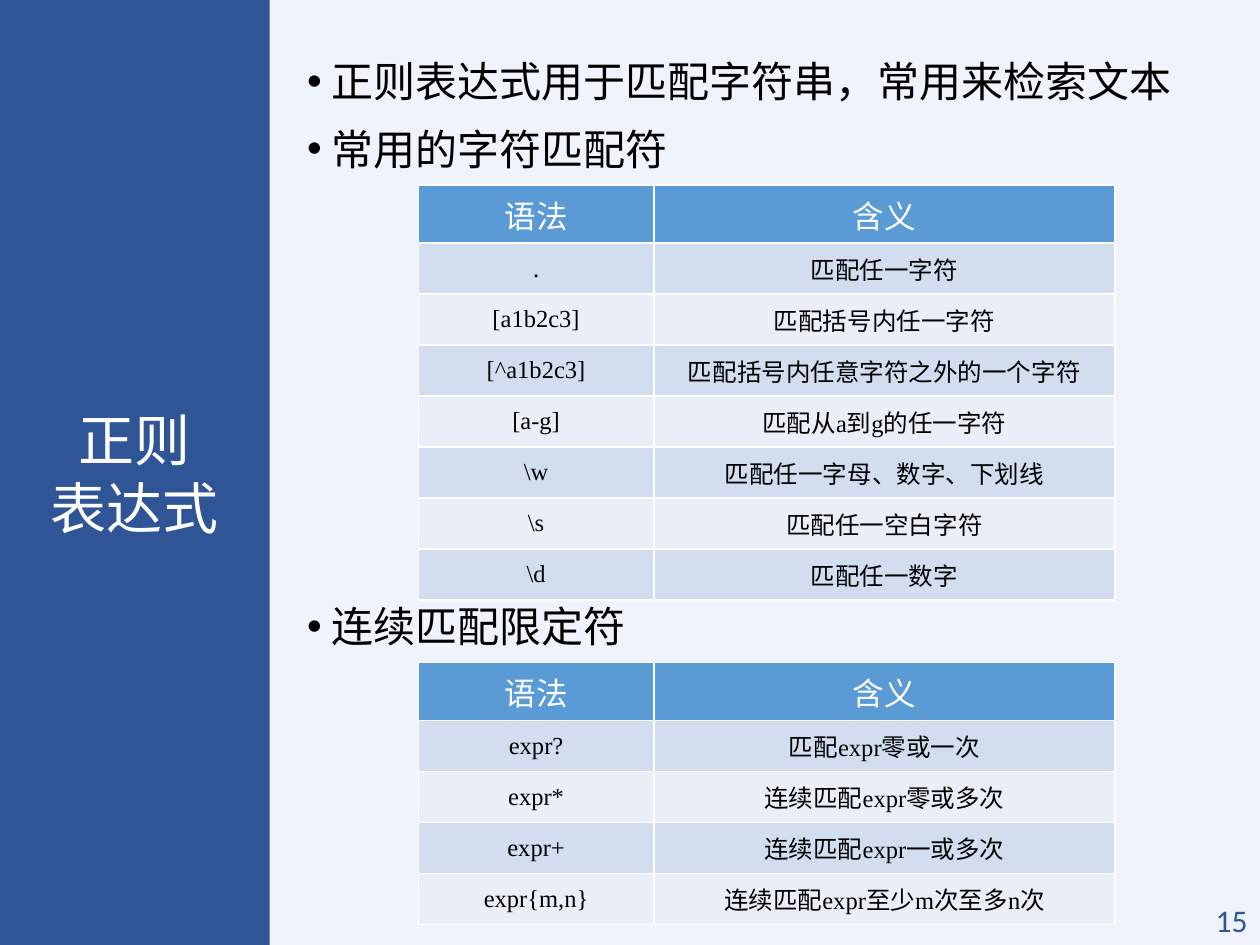
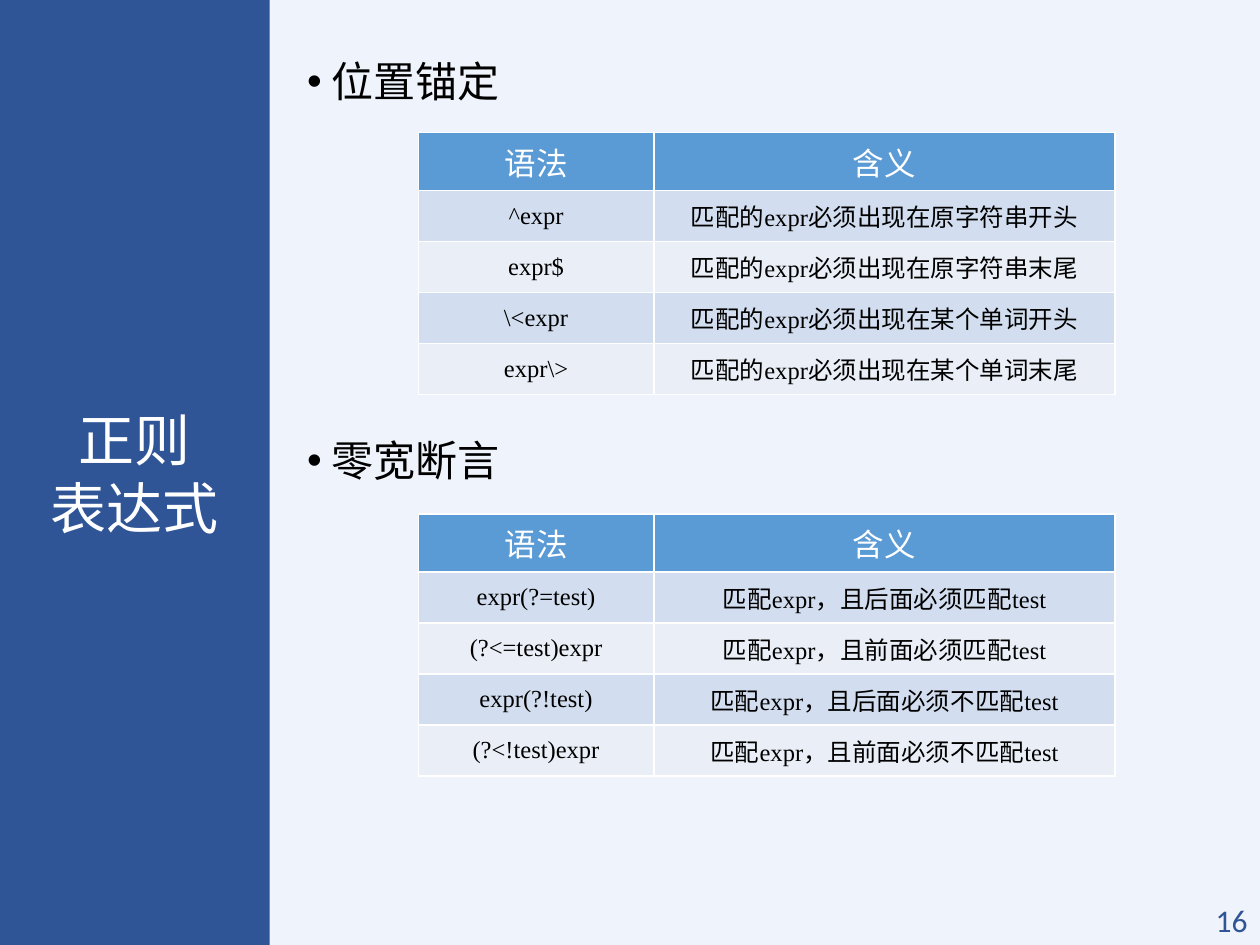
from lxml import etree
from pptx import Presentation
from pptx.dml.color import RGBColor
from pptx.enum.shapes import MSO_SHAPE
from pptx.enum.text import MSO_ANCHOR, PP_ALIGN
from pptx.oxml.ns import qn
from pptx.util import Inches, Pt

TITLE = ["正则", "表达式"]
HEADER = ("语法", "含义")
SLIDES = [
    {
        "number": 15,
        "bullets": [
            ("正则表达式用于匹配字符串，常用来检索文本", 0),
            ("常用的字符匹配符", 0),
            ("连续匹配限定符", 234),
        ],
        "tables": [
            (1.47, [
                (".", "匹配任一字符"),
                ("[a1b2c3]", "匹配括号内任一字符"),
                ("[^a1b2c3]", "匹配括号内任意字符之外的一个字符"),
                ("[a-g]", "匹配从a到g的任一字符"),
                ("\\w", "匹配任一字母、数字、下划线"),
                ("\\s", "匹配任一空白字符"),
                ("\\d", "匹配任一数字"),
            ]),
            (5.26, [
                ("expr?", "匹配expr零或一次"),
                ("expr*", "连续匹配expr零或多次"),
                ("expr+", "连续匹配expr一或多次"),
                ("expr{m,n}", "连续匹配expr至少m次至多n次"),
            ]),
        ],
    },
    {
        "number": 16,
        "bullets": [("位置锚定", 0), ("零宽断言", 178)],
        "tables": [
            (1.05, [
                ("^expr", "匹配的expr必须出现在原字符串开头"),
                ("expr$", "匹配的expr必须出现在原字符串末尾"),
                ("\\<expr", "匹配的expr必须出现在某个单词开头"),
                ("expr\\>", "匹配的expr必须出现在某个单词末尾"),
            ]),
            (4.08, [
                ("expr(?=test)", "匹配expr，且后面必须匹配test"),
                ("(?<=test)expr", "匹配expr，且前面必须匹配test"),
                ("expr(?!test)", "匹配expr，且后面必须不匹配test"),
                ("(?<!test)expr", "匹配expr，且前面必须不匹配test"),
            ]),
        ],
    },
]

COLORS = {
    "background": "EFF3FB",
    "band": "2F5597",
    "header": "5B9BD5",
    "odd_row": "D2DEEF",
    "even_row": "EAEFF7",
    "white": "FFFFFF",
    "black": "000000",
}
WIDTH, HEIGHT = 10, 7.5
BAND_WIDTH = 2.14
TITLE_BOX = (0.05, 1.1, 2.04, 5.31)
BULLET_BOX = (2.34, 0.39, 7.47, 6.62)
NUMBER_BOX = (WIDTH - 1, HEIGHT - 0.4, 1, 0.4)
TABLE_LEFT = 3.32
COLUMN_WIDTHS = (1.87, 3.66)
HEADER_HEIGHT = 0.46
HEADER_BOTTOM_MARGIN = 0.11
ROW_HEIGHT = HEIGHT * 0.054
BULLET_INDENT = 0.19

SERIF, SANS = "Times New Roman", "Calibri"
CENTER, RIGHT, JUSTIFY = PP_ALIGN.CENTER, PP_ALIGN.RIGHT, PP_ALIGN.JUSTIFY
MIDDLE, TOP = MSO_ANCHOR.MIDDLE, MSO_ANCHOR.TOP
RECTANGLE = MSO_SHAPE.RECTANGLE

FORMATS = {
    "title": ({"name": SERIF, "size": Pt(32)}, "white", {"alignment": CENTER}),
    "bullet": ({"name": SERIF, "size": Pt(24)}, "black",
               {"alignment": JUSTIFY, "space_after": Pt(10)}),
    "number": ({"name": SANS, "size": Pt(18)}, "band", {"alignment": RIGHT}),
    "header": ({"name": SERIF, "size": Pt(18), "bold": False}, "white", {"alignment": CENTER}),
    "cell": ({"name": SERIF, "size": Pt(14), "bold": False}, "black", {"alignment": CENTER}),
}


def color(name):
    return RGBColor.from_string(COLORS[name])


def write(paragraph, text, style):
    font_values, color_name, paragraph_values = FORMATS[style]
    run = paragraph.add_run()
    run.text = text
    run.font.color.rgb = color(color_name)
    for target, values in ((run.font, font_values), (paragraph, paragraph_values)):
        for attribute, value in values.items():
            setattr(target, attribute, value)


def add_text(slide, box, lines, style, anchor=TOP):
    frame = slide.shapes.add_textbox(*map(Inches, box)).text_frame
    frame.word_wrap = True
    frame.vertical_anchor = anchor
    for index, line in enumerate(lines):
        paragraph = frame.add_paragraph() if index else frame.paragraphs[0]
        write(paragraph, line, style)
    return frame


def add_bullets(slide, bullets):
    frame = add_text(slide, BULLET_BOX, [text for text, gap in bullets], "bullet")
    for paragraph, (text, gap) in zip(frame.paragraphs, bullets):
        paragraph.space_before = Pt(gap)
        properties = paragraph._p.get_or_add_pPr()
        properties.set("marL", str(Inches(BULLET_INDENT)))
        properties.set("indent", str(-Inches(BULLET_INDENT)))
        etree.SubElement(properties, qn("a:buFont"), typeface="Arial")
        etree.SubElement(properties, qn("a:buChar"), char="•")


def add_syntax_table(slide, top, entries):
    rows = [HEADER, *entries]
    heights = [HEADER_HEIGHT] + [ROW_HEIGHT] * len(entries)
    box = (TABLE_LEFT, top, sum(COLUMN_WIDTHS), sum(heights))
    table = slide.shapes.add_table(len(rows), len(HEADER), *map(Inches, box)).table
    for column, width in zip(table.columns, COLUMN_WIDTHS):
        column.width = Inches(width)
    for row_index, row in enumerate(rows):
        table.rows[row_index].height = Inches(heights[row_index])
        is_header = row_index == 0
        fill_name = "header" if is_header else "odd_row" if row_index % 2 else "even_row"
        for column_index, text in enumerate(row):
            cell = table.cell(row_index, column_index)
            cell.vertical_anchor = MIDDLE
            cell.fill.solid()
            cell.fill.fore_color.rgb = color(fill_name)
            if is_header:
                cell.margin_bottom = Inches(HEADER_BOTTOM_MARGIN)
            write(cell.text_frame.paragraphs[0], text, "header" if is_header else "cell")


def add_frame(slide, number):
    slide.background.fill.solid()
    slide.background.fill.fore_color.rgb = color("background")
    band = slide.shapes.add_shape(RECTANGLE, 0, 0, Inches(BAND_WIDTH), Inches(HEIGHT))
    band.shadow.inherit = False
    band.fill.solid()
    band.fill.fore_color.rgb = color("band")
    band.line.fill.background()
    add_text(slide, NUMBER_BOX, [str(number)], "number")
    add_text(slide, TITLE_BOX, TITLE, "title", MIDDLE)


def main():
    presentation = Presentation()
    presentation.slide_width = Inches(WIDTH)
    presentation.slide_height = Inches(HEIGHT)
    for content in SLIDES:
        slide = presentation.slides.add_slide(presentation.slide_layouts[6])
        add_frame(slide, content["number"])
        add_bullets(slide, content["bullets"])
        for top, entries in content["tables"]:
            add_syntax_table(slide, top, entries)
    presentation.save("out.pptx")


if __name__ == "__main__":
    main()
